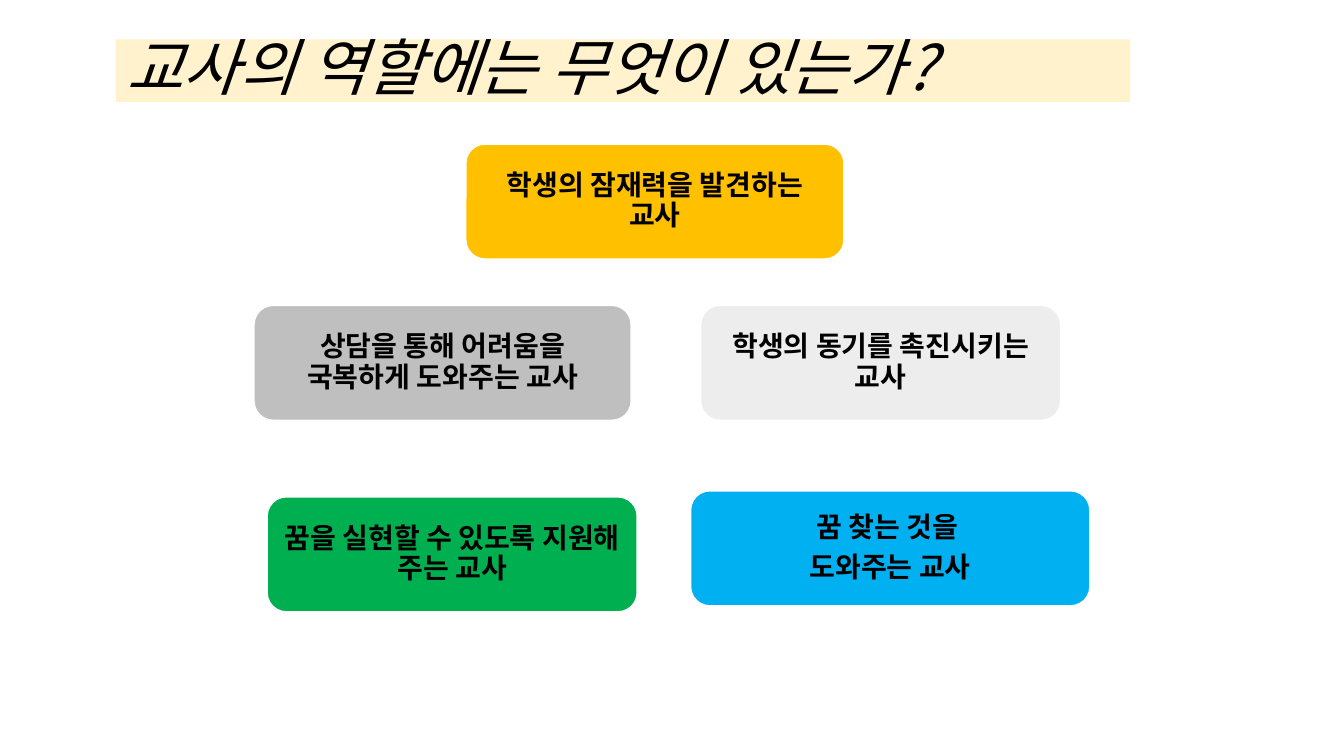
from pptx import Presentation
from pptx.dml.color import RGBColor
from pptx.enum.shapes import MSO_SHAPE as SHAPE
from pptx.enum.text import MSO_ANCHOR as ANCHOR, MSO_AUTO_SIZE as AUTO, PP_ALIGN as ALIGN
from pptx.oxml.ns import qn
from pptx.util import Inches, Pt
from lxml.etree import SubElement

FONT = "Noto Sans CJK KR"
BLACK = RGBColor(0x00, 0x00, 0x00)
WHITE = RGBColor(0xFF, 0xFF, 0xFF)
CREAM = RGBColor(0xFF, 0xF2, 0xCC)
GOLD = RGBColor(0xFF, 0xC0, 0x00)
SILVER = RGBColor(0xBF, 0xBF, 0xBF)
PALE = RGBColor(0xED, 0xED, 0xED)
GREEN = RGBColor(0x00, 0xB0, 0x50)
BLUE = RGBColor(0x00, 0xB0, 0xF0)

TITLE_FONT = {"name": FONT, "size": Pt(44), "bold": False, "italic": True}
ROLE_FONT = {"name": FONT, "size": Pt(20), "bold": True}
TITLE_PARA = {"alignment": ALIGN.LEFT, "line_spacing": 0.9}
ROLE_PARA = {"alignment": ALIGN.CENTER, "line_spacing": 0.9, "space_after": Pt(7)}
MARGINS = ("margin_left", "margin_top", "margin_right", "margin_bottom")

# Role cards: left, top, width, colour, lines
CARD_H = 1.14
ROLES = [
    (4.62, 1.43, 3.75, GOLD, ["학생의 잠재력을 발견하는 교사"]),
    (6.95, 3.03, 3.57, PALE, ["학생의 동기를 촉진시키는 교사"]),
    (6.85, 4.87, 3.96, BLUE, ["꿈 찾는 것을 ", "도와주는 교사"]),
    (2.65, 4.93, 3.67, GREEN, ["꿈을 실현할 수 있도록 지원해 주는 교사"]),
    (2.52, 3.03, 3.74, SILVER, ["상담을 통해 어려움을 국복하게 도와주는 교사"]),
]


def apply(obj, formats):
    for name, value in formats.items():
        setattr(obj, name, value)


def write(tf, lines, para, font):
    """Fill a text frame with one formatted paragraph per line."""
    apply(tf, {"word_wrap": True, "auto_size": AUTO.NONE,
               "vertical_anchor": ANCHOR.MIDDLE})
    for i, line in enumerate(lines):
        p = tf.paragraphs[0] if i == 0 else tf.add_paragraph()
        apply(p, para)
        r = p.add_run()
        r.text = line
        apply(r.font, font)
        r.font.color.rgb = BLACK
        # Korean glyphs take the East Asian typeface
        SubElement(r._r.get_or_add_rPr(), qn("a:ea"), typeface=FONT)


def add_title(slide, box, text):
    sp = slide.shapes.title
    apply(sp, dict(zip(("left", "top", "width", "height"), map(Inches, box))))
    sp.fill.solid()
    sp.fill.fore_color.rgb = CREAM
    write(sp.text_frame, [text], TITLE_PARA, TITLE_FONT)


def add_card(slide, box, color, lines):
    sp = slide.shapes.add_shape(SHAPE.ROUNDED_RECTANGLE, *map(Inches, box))
    sp.shadow.inherit = False
    sp.fill.solid()
    sp.fill.fore_color.rgb = color
    sp.line.color.rgb = WHITE
    sp.line.width = Pt(1)
    apply(sp.text_frame, dict.fromkeys(MARGINS, Inches(0.08)))
    write(sp.text_frame, lines, ROLE_PARA, ROLE_FONT)


def main():
    prs = Presentation()
    prs.slide_width, prs.slide_height = Inches(13.33), Inches(7.5)
    slide = prs.slides.add_slide(prs.slide_layouts[5])

    add_title(slide, (1.15, 0.39, 10.06, 0.62), "교사의 역할에는 무엇이 있는가?")
    for left, top, width, color, lines in ROLES:
        add_card(slide, (left, top, width, CARD_H), color, lines)

    prs.save("out.pptx")


if __name__ == "__main__":
    main()
